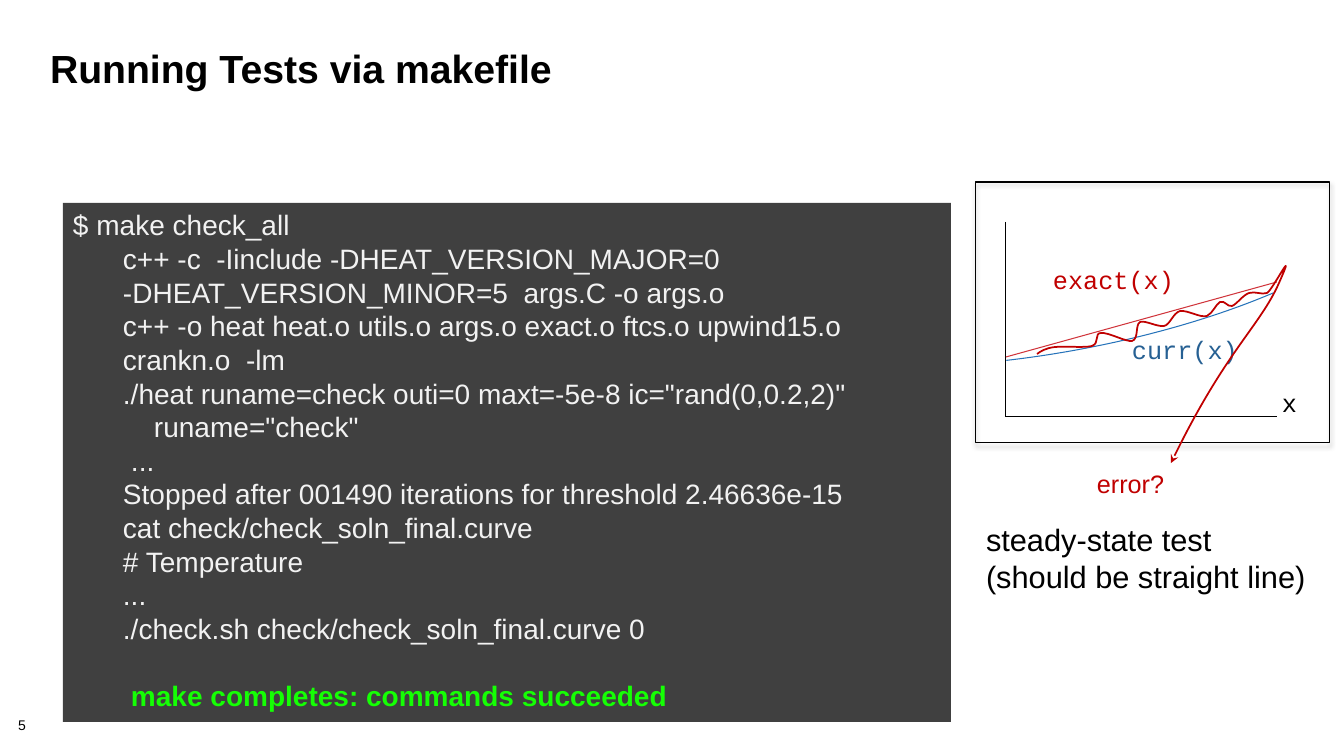
"""Build the slide about running the steady-state test through a makefile."""
from dataclasses import dataclass

from lxml import etree
from pptx import Presentation
from pptx.dml.color import RGBColor
from pptx.enum.shapes import MSO_CONNECTOR, MSO_SHAPE
from pptx.enum.text import MSO_ANCHOR, PP_ALIGN
from pptx.oxml import parse_xml
from pptx.oxml.ns import nsdecls, qn
from pptx.util import Emu, Pt

SCALE = 914400 / 100.8
BLACK = RGBColor(0x00, 0x00, 0x00)
PANEL_GRAY = RGBColor(0x40, 0x40, 0x40)
CODE_WHITE = RGBColor(0xF2, 0xF2, 0xF2)
SUCCESS_GREEN = RGBColor(0x15, 0xFF, 0x04)
ERROR_RED = RGBColor(0xC0, 0x00, 0x00)
EXACT_RED = RGBColor(0xD0, 0x34, 0x3B)
CURVE_BLUE = RGBColor(0x26, 0x73, 0xBA)
LABEL_BLUE = RGBColor(0x26, 0x60, 0x93)
SANS, MONO = "Arial", "Courier New"
Box = tuple[int, int, int, int]
Point = tuple[int, int]


@dataclass(frozen=True)
class Line:
    text: str
    indent: int = 0
    color: RGBColor = BLACK
    bold: bool = False
    before: float = 0


@dataclass(frozen=True)
class Label:
    box: Box
    lines: tuple[Line, ...]
    size: float
    font: str = SANS
    spacing: float | Pt | None = None
    inset: Point = (10, 5)
    wrap: bool = True
    anchor: MSO_ANCHOR = MSO_ANCHOR.TOP


@dataclass(frozen=True)
class Segment:
    start: Point
    end: Point
    color: RGBColor = BLACK


CODE_BOX = (63, 203, 888, 519)
FRAME_BOX = (976, 182, 354, 261)
ARC_BOX = (710, 127, 701, 224)
STEP = 50
COMMANDS = (
    Line("$ make check_all", 0, CODE_WHITE),
    *(Line(text, indent, CODE_WHITE) for text, indent in (
        ("c++ -c\u00a0 -Iinclude -DHEAT_VERSION_MAJOR=0 "
         "-DHEAT_VERSION_MINOR=5\u00a0 args.C -o args.o", STEP),
        ("c++ -o heat heat.o utils.o args.o exact.o ftcs.o upwind15.o "
         "crankn.o\u00a0 -lm", STEP),
        ('./heat runame=check outi=0 maxt=-5e-8 ic="rand(0,0.2,2)"', STEP),
        ('runame="check"', STEP + 31),
        ("...", STEP + 8),
        ("Stopped after 001490 iterations for threshold 2.46636e-15", STEP),
        ("cat check/check_soln_final.curve", STEP),
        ("# Temperature", STEP),
        ("...", STEP),
        ("./check.sh check/check_soln_final.curve 0", STEP),
    )),
    Line("make completes: commands succeeded", STEP + 8, SUCCESS_GREEN, True, 24),
)
CODE = Label(CODE_BOX, COMMANDS, 20, spacing=Pt(24))
TEXTS = (
    Label((18, 718, 56, 16), (Line("5"),), 10, spacing=0.9, inset=(0, 0)),
    Label((40, 47, 1254, 101), (Line("Running Tests via makefile", bold=True),),
          28, spacing=0.85),
    Label((976, 516, 368, 85),
          (Line("steady-state test"), Line("(should be straight line)")),
          22, spacing=Pt(26.4)),
)
PLOT_LABELS = (
    Label((1043, 259, 142, 40), (Line("exact(x)", color=ERROR_RED),), 18, MONO,
          wrap=False),
    Label((1272, 382, 35, 40), (Line("x"),), 18, MONO, wrap=False),
    Label((1122, 329, 127, 40), (Line("curr(x)", color=LABEL_BLUE),), 18, MONO,
          wrap=False),
    Label((1084, 462, 175, 47), (Line("error?", color=ERROR_RED),), 18,
          spacing=0.9, inset=(13, 10), anchor=MSO_ANCHOR.MIDDLE),
)
SEGMENTS = (
    Segment((1006, 222), (1006, 417)),
    Segment((1277, 417), (1006, 417)),
    Segment((1006, 357), (1277, 282), EXACT_RED),
)
ERROR_START = (1037, 354)
ERROR_CURVE = (
    (1041, 351), (1046, 348), (1055, 347), (1065, 346), (1085, 348), (1092, 346),
    (1100, 343), (1094, 333), (1101, 333), (1108, 332), (1126, 342), (1132, 341),
    (1139, 339), (1135, 325), (1140, 322), (1145, 320), (1157, 327), (1164, 326),
    (1170, 325), (1173, 313), (1180, 311), (1188, 310), (1200, 318), (1207, 316),
    (1213, 313), (1216, 304), (1220, 302), (1225, 300), (1227, 307), (1232, 306),
    (1237, 304), (1243, 295), (1249, 293), (1255, 291), (1262, 295), (1267, 293),
    (1272, 291), (1298, 240), (1279, 283), (1260, 326), (1225, 351), (1171, 463),
)


def px(*lengths: int) -> list[Emu]:
    return [Emu(round(length * SCALE)) for length in lengths]


def write(shape, label: Label) -> None:
    frame = shape.text_frame
    frame.word_wrap = label.wrap
    frame.vertical_anchor = label.anchor
    frame.margin_left, frame.margin_top = px(*label.inset)
    frame.margin_right, frame.margin_bottom = px(*label.inset)
    for index, line in enumerate(label.lines):
        paragraph = frame.add_paragraph() if index else frame.paragraphs[0]
        paragraph.alignment = PP_ALIGN.LEFT
        paragraph.line_spacing = label.spacing
        paragraph.space_before = Pt(line.before)
        properties = paragraph._p.get_or_add_pPr()
        properties.set("marL", str(px(line.indent)[0]))
        properties.set("indent", "0")
        run = paragraph.add_run()
        run.text = line.text
        run.font.name, run.font.size = label.font, Pt(label.size)
        run.font.bold, run.font.color.rgb = line.bold, line.color


def add_label(slide, label: Label) -> None:
    write(slide.shapes.add_textbox(*px(*label.box)), label)


def outline(shape, color: RGBColor, width: float = 0.75) -> None:
    shape.shadow.inherit = False
    shape.fill.background()
    shape.line.color.rgb = color
    shape.line.width = Pt(width)


def add_code_panel(slide) -> None:
    panel = slide.shapes.add_shape(MSO_SHAPE.RECTANGLE, *px(*CODE_BOX))
    panel.shadow.inherit = False
    panel.fill.solid()
    panel.fill.fore_color.rgb = PANEL_GRAY
    panel.line.fill.background()
    write(panel, CODE)


def add_plot_frame(slide) -> None:
    frame = slide.shapes.add_shape(MSO_SHAPE.RECTANGLE, *px(*FRAME_BOX))
    outline(frame, BLACK)
    effects = frame._element.spPr.find(qn("a:effectLst"))
    effects.append(parse_xml(
        f'<a:outerShdw {nsdecls("a")} blurRad="{Pt(3.5)}" dist="{Pt(2.2)}" '
        'dir="5400000" rotWithShape="0"><a:srgbClr val="000000">'
        '<a:alpha val="32000"/></a:srgbClr></a:outerShdw>'))


def add_segment(slide, segment: Segment) -> None:
    line = slide.shapes.add_connector(
        MSO_CONNECTOR.STRAIGHT, *px(*segment.start, *segment.end))
    line.line.color.rgb = segment.color
    line.line.width = Pt(0.75)
    etree.SubElement(line._element.spPr, qn("a:effectLst"))


def add_current_arc(slide) -> None:
    arc = slide.shapes.add_shape(MSO_SHAPE.ARC, *px(*ARC_BOX))
    arc.adjustments[0], arc.adjustments[1] = 141.21, 201.13
    arc.rotation = 349.4
    arc._element.spPr.find(qn("a:xfrm")).set("flipV", "1")
    outline(arc, CURVE_BLUE)


def add_error_curve(slide) -> None:
    builder = slide.shapes.build_freeform(*ERROR_START, scale=SCALE)
    builder.add_line_segments(ERROR_CURVE, close=False)
    curve = builder.convert_to_shape()
    path = next(curve._element.iter(qn("a:path")))
    steps = path.findall(qn("a:lnTo"))
    for first in range(0, len(steps), 3):
        bezier = etree.SubElement(path, qn("a:cubicBezTo"))
        for step in steps[first:first + 3]:
            bezier.append(step[0])
            path.remove(step)
    outline(curve, ERROR_RED, 1.25)
    etree.SubElement(curve.line._get_or_add_ln(), qn("a:tailEnd"), type="stealth")


def main() -> None:
    deck = Presentation()
    deck.slide_width, deck.slide_height = px(1344, 756)
    slide = deck.slides.add_slide(deck.slide_layouts[6])
    add_code_panel(slide)
    for label in TEXTS:
        add_label(slide, label)
    add_plot_frame(slide)
    for segment in SEGMENTS:
        add_segment(slide, segment)
    add_current_arc(slide)
    for label in PLOT_LABELS:
        add_label(slide, label)
    add_error_curve(slide)
    deck.save("out.pptx")


main()
